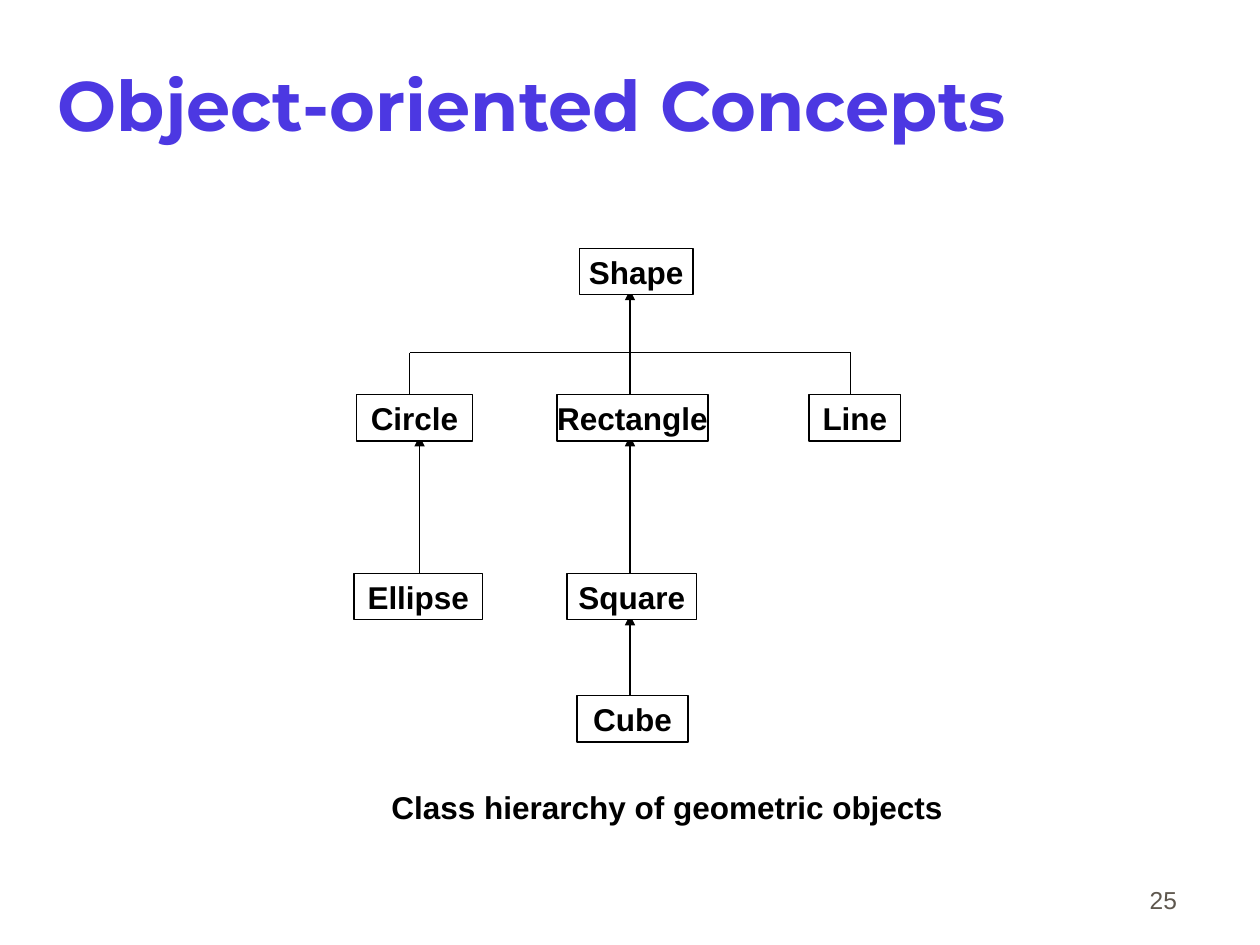
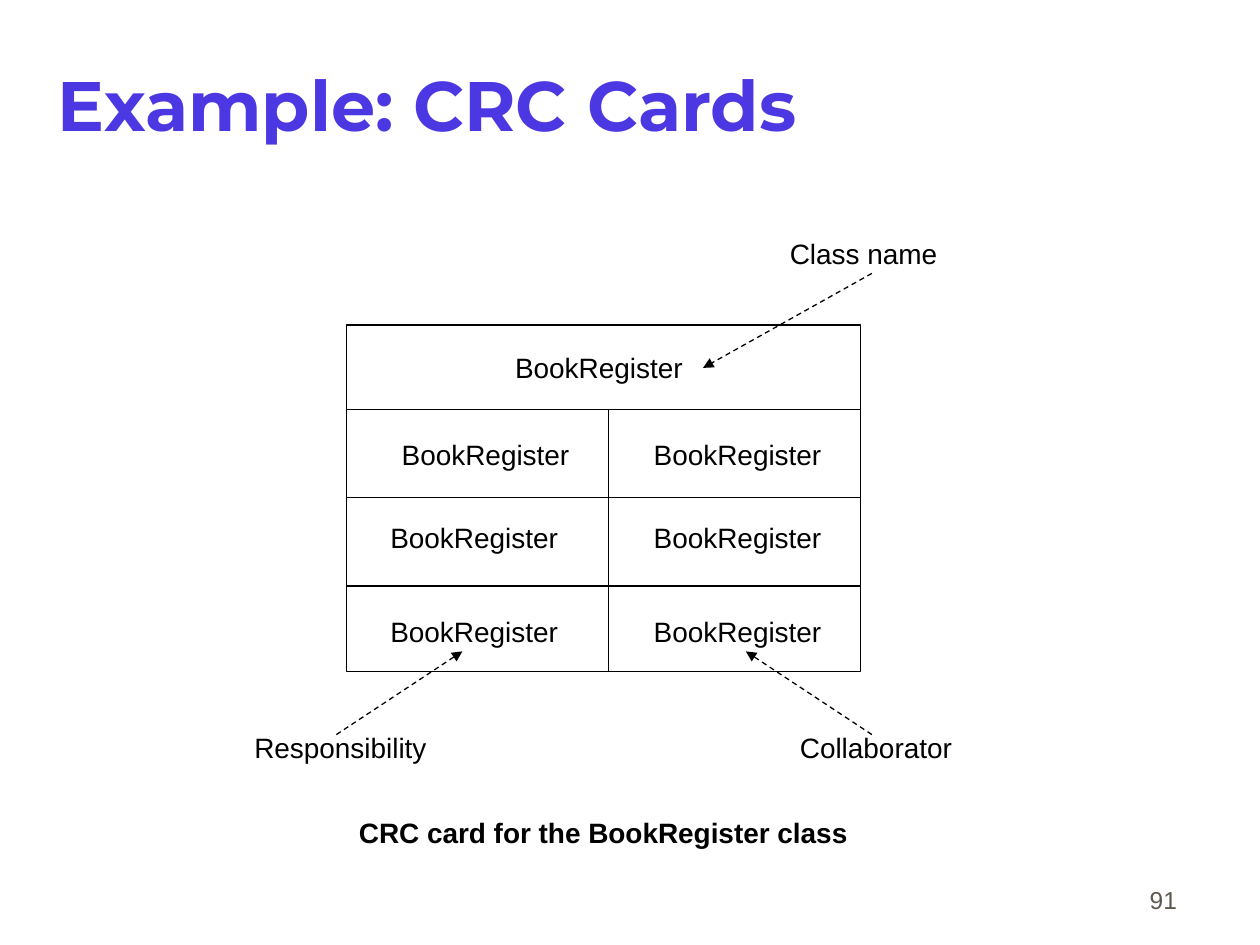
from dataclasses import dataclass

from lxml import etree
from pptx import Presentation
from pptx.dml.color import RGBColor
from pptx.enum.dml import MSO_LINE
from pptx.enum.shapes import MSO_CONNECTOR, MSO_SHAPE
from pptx.enum.text import MSO_ANCHOR, MSO_AUTO_SIZE, PP_ALIGN
from pptx.oxml.ns import qn
from pptx.shapes.autoshape import Shape
from pptx.slide import Slide
from pptx.util import Inches, Pt

LEFT, CENTER, RIGHT = PP_ALIGN.LEFT, PP_ALIGN.CENTER, PP_ALIGN.RIGHT
TOP, MIDDLE, BOTTOM = MSO_ANCHOR.TOP, MSO_ANCHOR.MIDDLE, MSO_ANCHOR.BOTTOM
STRAIGHT, RECT, DASH = MSO_CONNECTOR.STRAIGHT, MSO_SHAPE.RECTANGLE, MSO_LINE.DASH
FIXED = MSO_AUTO_SIZE.NONE

COLORS = {"title": "4C38E2", "number": "5E574E", "ink": "000000", "paper": "FFFFFF"}
BODY, HEAD = "Arial", "Montserrat"
ROW = 0.37  # height of one line of text
THIN = 0.75


@dataclass(frozen=True)
class Style:
    size: int
    color: str = "ink"
    font: str = BODY
    bold: bool = False
    align: PP_ALIGN = LEFT
    anchor: MSO_ANCHOR = TOP
    wrap: bool = False
    pad: tuple[float, float] = (0.1, 0.05)


TITLE = Style(40, "title", HEAD, True, anchor=MIDDLE, wrap=True, pad=(0.02, 0.05))
NUMBER = Style(14, "number", align=RIGHT, anchor=BOTTOM, wrap=True)
NODE = Style(18, bold=True, align=CENTER, anchor=MIDDLE, pad=(0, 0))
LABEL = Style(16)
NOTE = Style(16, bold=True)


@dataclass(frozen=True)
class Node:
    name: str
    left: float
    top: float
    width: float
    filled: bool = True


@dataclass(frozen=True)
class Label:
    text: str
    left: float
    top: float
    width: float
    style: Style = LABEL


@dataclass(frozen=True)
class Line:
    x1: float
    y1: float
    x2: float
    y2: float
    arrow: bool = False
    dashed: bool = False


def tint(name: str) -> RGBColor:
    return RGBColor.from_string(COLORS[name])


def write(shape: Shape, text: str, style: Style) -> None:
    frame = shape.text_frame
    frame.text = text
    frame.auto_size = FIXED
    frame.word_wrap = style.wrap
    frame.vertical_anchor = style.anchor
    frame.margin_left = frame.margin_right = Inches(style.pad[0])
    frame.margin_top = frame.margin_bottom = Inches(style.pad[1])
    para = frame.paragraphs[0]
    para.alignment = style.align
    para.space_before = Pt(0)
    font = para.runs[0].font
    font.name, font.size, font.bold = style.font, Pt(style.size), style.bold
    font.color.rgb = tint(style.color)


def add_text(slide: Slide, label: Label, height: float = ROW) -> None:
    box = slide.shapes.add_textbox(
        Inches(label.left), Inches(label.top), Inches(label.width), Inches(height))
    write(box, label.text, label.style)


def add_box(slide: Slide, left: float, top: float, width: float,
            height: float, filled: bool) -> Shape:
    box = slide.shapes.add_shape(
        RECT, Inches(left), Inches(top), Inches(width), Inches(height))
    box.shadow.inherit = False
    if filled:
        box.fill.solid()
        box.fill.fore_color.rgb = tint("paper")
    else:
        box.fill.background()
    box.line.color.rgb = tint("ink")
    box.line.width = Pt(THIN)
    return box


def add_node(slide: Slide, node: Node) -> None:
    box = add_box(slide, node.left, node.top, node.width, ROW, node.filled)
    write(box, node.name, NODE)


def add_line(slide: Slide, line: Line) -> None:
    link = slide.shapes.add_connector(
        STRAIGHT, Inches(line.x1), Inches(line.y1), Inches(line.x2), Inches(line.y2))
    link.line.color.rgb = tint("ink")
    link.line.width = Pt(THIN)
    if line.dashed:
        link.line.dash_style = DASH
    props = link._element.spPr
    if line.arrow:
        etree.SubElement(props.find(qn("a:ln")), qn("a:tailEnd"), type="triangle")
    etree.SubElement(props, qn("a:effectLst"))


def add_page(deck: Presentation, title: str, number: int) -> Slide:
    slide = deck.slides.add_slide(deck.slide_layouts[5])
    head = slide.shapes.title
    head.left, head.top = Inches(0.44), Inches(0.2)
    head.width, head.height = Inches(8.5), Inches(1.25)
    write(head, title, TITLE)
    add_text(slide, Label(str(number), 7.36, 6.81, 2.08, NUMBER), 0.5)
    return slide


def draw_tree(deck: Presentation) -> None:
    slide = add_page(deck, "Object-oriented Concepts", 25)
    root, kids, heirs, last = 1.97, 3.13, 4.55, 5.52
    bar, mid, west, east = 2.8, 5, 3.25, 6.75
    lines = [Line(west, bar, east, bar)]
    lines += [Line(x, bar, x, kids) for x in (west, east)]
    # Each tip ends a little inside the parent box, which covers it.
    lines += [Line(x, low, x, high + 0.33, arrow=True) for x, low, high in (
        (mid, last, heirs), (mid, heirs, kids), (3.33, heirs, kids), (mid, kids, root))]
    for line in lines:
        add_line(slide, line)
    for node in (
        Node("Ellipse", 2.81, heirs, 1.02, False),
        Node("Line", 6.42, kids, 0.73, False),
        Node("Shape", 4.6, root, 0.9),
        Node("Circle", 2.83, kids, 0.92),
        Node("Rectangle", 4.42, kids, 1.2),
        Node("Cube", 4.58, last, 0.88),
        Node("Square", 4.5, heirs, 1.03),
    ):
        add_node(slide, node)
    add_text(slide, Label("Class hierarchy of geometric objects", 3.42, 6.22, 3.75, NODE))


def draw_card(deck: Presentation) -> None:
    slide = add_page(deck, "Example: CRC Cards", 91)
    left, top, width, height = 2.75, 2.58, 4.08, 2.75
    right, base, mid, first, step = left + width, top + height, 4.83, 3.25, 0.7
    add_box(slide, left, top, width, height, False)
    rules = [first + step * i for i in range(3)]
    lines = [Line(left, y, right, y) for y in rules]
    lines.append(Line(mid, first, mid, base))
    lines += [Line(*ends, arrow=True, dashed=True) for ends in (
        (2.67, 5.83, 3.67, 5.17), (6.92, 5.83, 5.92, 5.17), (6.92, 2.17, 5.58, 2.92))]

    name, wide = "BookRegister", 1.53
    labels = [Label(name, 3.99, 2.73, wide)]
    for duty, y in ((3.09, 3.42), (3, 4.08), (3, 4.83)):
        labels += [Label(name, x, y, wide) for x in (duty, 5.09)]
    labels += [
        Label("Responsibility", 1.92, 5.75, 1.57),
        Label("Collaborator", 6.25, 5.75, 1.41),
        Label("Class name", 6.17, 1.83, 1.37),
        Label("CRC card for the BookRegister class", left, 6.42, width, NOTE),
    ]
    for label in labels:
        add_text(slide, label)
    for line in lines:
        add_line(slide, line)


def main() -> None:
    deck = Presentation()
    deck.slide_width, deck.slide_height = Inches(10), Inches(7.5)
    draw_tree(deck)
    draw_card(deck)
    deck.save("out.pptx")


if __name__ == "__main__":
    main()
